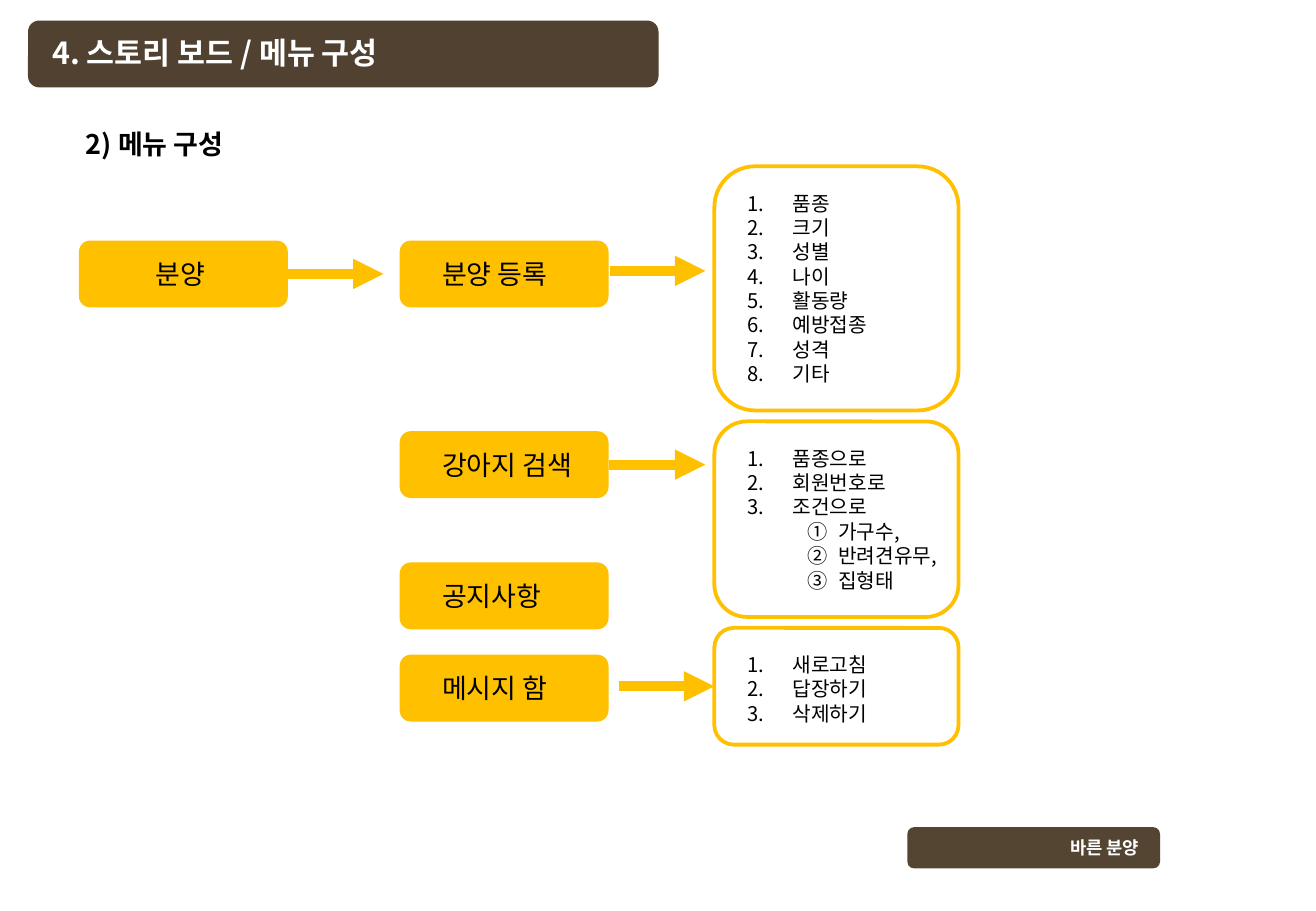
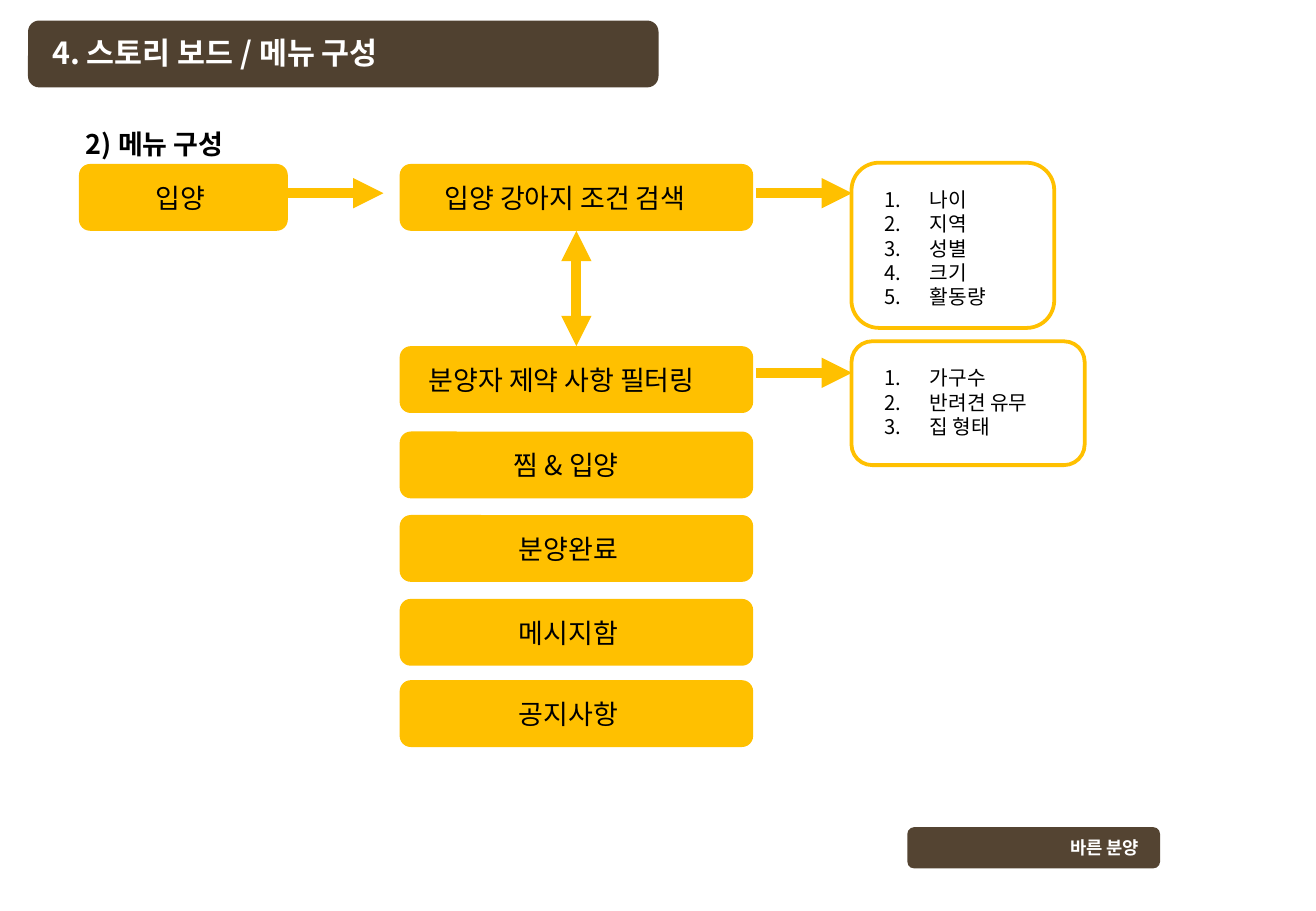
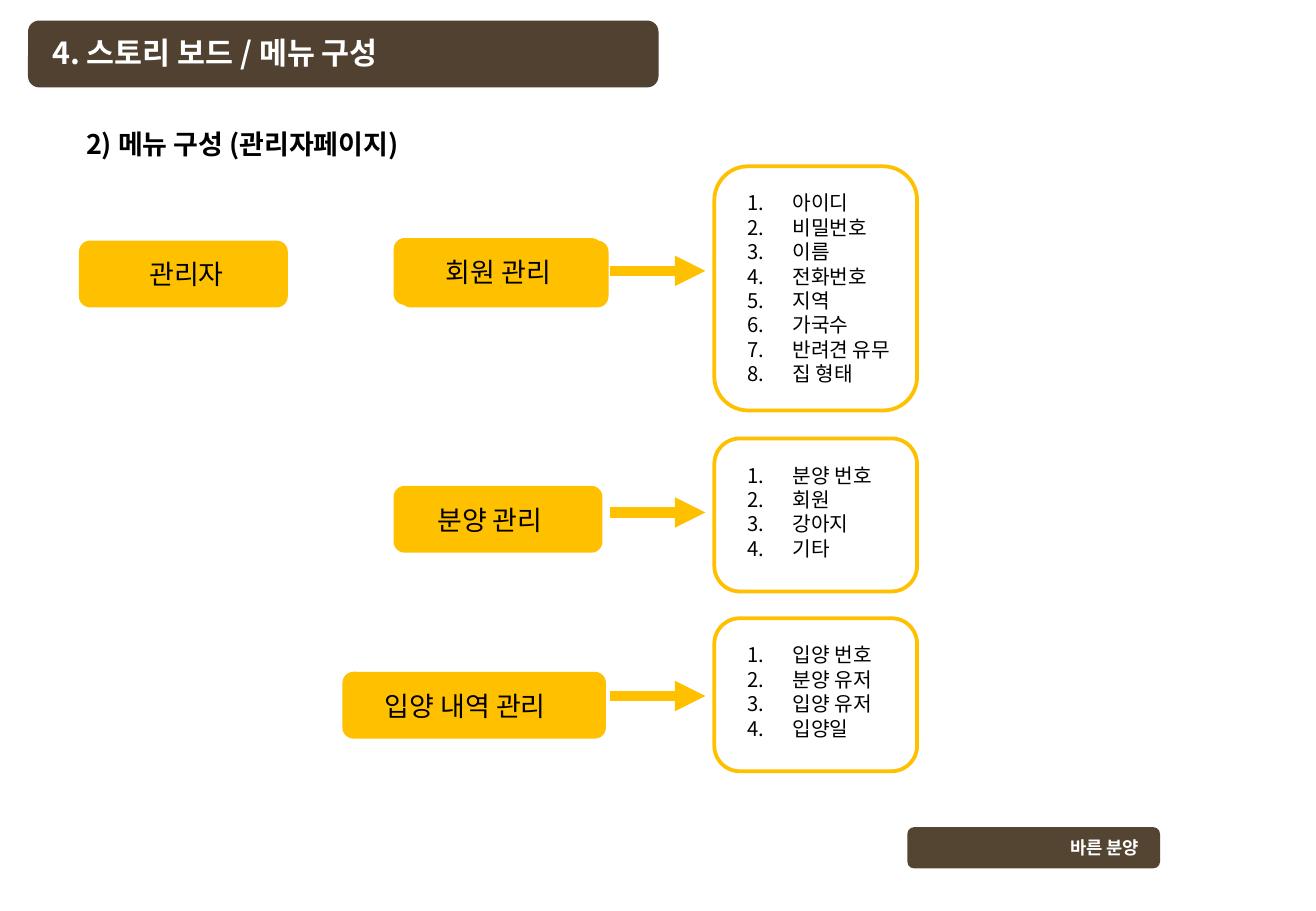
from dataclasses import dataclass, field
from typing import Any, Optional

import pptx
import pptx.dml.color
import pptx.enum.shapes
import pptx.enum.text
import pptx.oxml.ns
import pptx.util
from lxml import etree

Pt = pptx.util.Pt
FONT = "Noto Sans CJK KR"
COLORS = {
    "band": "504130",
    "footer": "544432",
    "accent": "FFC000",
    "text": "000000",
    "light": "FFFFFF",
}
TITLE = "4. 스토리 보드 / 메뉴 구성"
FOOTER = "바른 분양"

BOX_HEIGHT = 39.6
BOX_WIDTH = 123.8
WIDE_BOX = 209.5
FIRST_COLUMN = 46.8
SECOND_COLUMN = 236.9
LIST_COLUMN = 423.4
ARROW_LENGTH = 56.7
ARROW_START = 361.4
LINE_SPACING = 1.205
CORNER = 0.16667
TOP, LEFT, BOTTOM, RIGHT = range(4)


@dataclass
class MenuBox:
    text: str
    left: float
    top: float
    indent: float = 25.2
    width: float = BOX_WIDTH


@dataclass
class ListBox:
    items: list[str]
    left: float
    top: float
    width: float
    height: float
    subitems: list[str] = field(default_factory=list)


@dataclass
class Arrow:
    """A thick arrow; begin and end name a box and one of its sides."""
    left: float
    top: float
    begin: Optional[tuple[str, int]] = None
    end: Optional[tuple[str, int]] = None
    double: bool = False


@dataclass
class MenuPage:
    heading: str
    heading_width: float
    boxes: list[MenuBox]
    lists: list[ListBox]
    arrows: list[Arrow]


PAGES = [
    MenuPage(
        "2) 메뉴 구성", 105.8,
        [
            MenuBox("분양", FIRST_COLUMN, 142.6, 45.4),
            MenuBox("분양 등록", SECOND_COLUMN, 142.6),
            MenuBox("강아지 검색", SECOND_COLUMN, 255.6),
            MenuBox("공지사항", SECOND_COLUMN, 333.4),
            MenuBox("메시지 함", SECOND_COLUMN, 388.1),
        ],
        [
            ListBox(["품종", "크기", "성별", "나이", "활동량", "예방접종", "성격", "기타"],
                    LIST_COLUMN, 98.6, 144.7, 144.7),
            ListBox(["품종으로", "회원번호로", "조건으로"], LIST_COLUMN, 249.8, 144.7, 115.9,
                    ["가구수,", "반려견유무,", "집형태"]),
            ListBox(["새로고침", "답장하기", "삭제하기"], LIST_COLUMN, 372.2, 144.7, 69.2),
        ],
        [
            Arrow(170.6, 162.4, begin=("분양", RIGHT)),
            Arrow(ARROW_START, 160.6),
            Arrow(ARROW_START, 275.4, begin=("강아지 검색", RIGHT)),
            Arrow(366.7, 406.8, end=("새로고침", LEFT)),
        ],
    ),
    MenuPage(
        "2) 메뉴 구성", 105.8,
        [
            MenuBox("입양", FIRST_COLUMN, 97.2, 45.4),
            MenuBox("입양 강아지 조건 검색", SECOND_COLUMN, 97.2, 26.6, WIDE_BOX),
            MenuBox("분양자 제약 사항 필터링", SECOND_COLUMN, 205.2, 17.3, WIDE_BOX),
            MenuBox("찜 & 입양", SECOND_COLUMN, 255.8, 67.7, WIDE_BOX),
            MenuBox("분양완료", SECOND_COLUMN, 305.3, 70.6, WIDE_BOX),
            MenuBox("메시지함", SECOND_COLUMN, 355, 70.6, WIDE_BOX),
            MenuBox("공지사항", SECOND_COLUMN, 403.2, 70.6, WIDE_BOX),
        ],
        [
            ListBox(["나이", "지역", "성별", "크기", "활동량"], 504.7, 96.5, 120.2, 97.9),
            ListBox(["가구수", "반려견 유무", "집 형태"], 504.7, 202.3, 138.2, 73.4),
        ],
        [
            Arrow(170.6, 114.5),
            Arrow(448.3, 114.5),
            Arrow(448.3, 221),
            Arrow(341.65, 136.8, ("입양 강아지 조건 검색", BOTTOM),
                  ("분양자 제약 사항 필터링", TOP), double=True),
        ],
    ),
    MenuPage(
        "2) 메뉴 구성 (관리자페이지)", 219.6,
        [
            MenuBox("관리자", FIRST_COLUMN, 142.6, 41.8),
            MenuBox("", SECOND_COLUMN, 142.6),
            MenuBox("회원 관리", 233.3, 141.1, 31),
            MenuBox("분양 관리", 233.3, 288, 25.9),
            MenuBox("입양 내역 관리", 203, 398.2, 25.2, 156.2),
        ],
        [
            ListBox(["아이디", "비밀번호", "이름", "전화번호", "지역", "가국수", "반려견 유무", "집 형태"],
                    LIST_COLUMN, 98.6, 120.2, 144.7),
            ListBox(["분양 번호", "회원", "강아지", "기타"], LIST_COLUMN, 259.9, 120.2, 90.7),
            ListBox(["입양 번호", "분양 유저", "입양 유저", "입양일"],
                    LIST_COLUMN, 366.5, 120.2, 90.7),
        ],
        [Arrow(ARROW_START, top) for top in (160.6, 303.8, 412.6)],
    ),
]


def rgb(name: str) -> pptx.dml.color.RGBColor:
    return pptx.dml.color.RGBColor.from_string(COLORS[name])


def add_child(parent: Any, tag: str, **attributes: str) -> Any:
    child = etree.SubElement(parent, pptx.oxml.ns.qn(tag))
    for key, value in attributes.items():
        child.set(key, value)
    return child


# Text
def write_text(para: Any, text: str, *, size: float, color: str = "text",
               bold: bool = False) -> None:
    para.alignment = pptx.enum.text.PP_ALIGN.LEFT
    para.line_spacing = Pt(round(size * LINE_SPACING, 2))
    span = para.add_run()
    span.text = text
    span.font.size = Pt(size)
    span.font.bold = bold
    span.font.color.rgb = rgb(color)
    span.font.name = FONT
    add_child(span._r.get_or_add_rPr(), "a:ea", typeface=FONT)


def number_paragraph(para: Any, scheme: str, level: int, margin: float, hanging: float) -> None:
    para.level = level
    properties = para._p.get_or_add_pPr()
    properties.set("marL", str(int(Pt(margin))))
    properties.set("indent", str(-int(Pt(hanging))))
    add_child(properties, "a:buFont", typeface=FONT)
    add_child(properties, "a:buAutoNum", type=scheme)


def set_frame(frame: Any, left: float = 7.2, top: float = 3.6, right: float = 0,
              bottom: float = 3.6, middle: bool = True) -> None:
    anchors = pptx.enum.text.MSO_ANCHOR
    frame.word_wrap = True
    frame.auto_size = pptx.enum.text.MSO_AUTO_SIZE.NONE
    frame.vertical_anchor = anchors.MIDDLE if middle else anchors.TOP
    frame.margin_left, frame.margin_top = Pt(round(left, 2)), Pt(round(top, 2))
    frame.margin_right, frame.margin_bottom = Pt(right), Pt(bottom)


# Shapes
def add_round_box(page: Any, left: float, top: float, width: float, height: float, *,
                  fill: Optional[str] = None, line: Optional[str] = None) -> Any:
    box = page.shapes.add_shape(pptx.enum.shapes.MSO_SHAPE.ROUNDED_RECTANGLE,
                                Pt(left), Pt(top), Pt(width), Pt(height))
    box.shadow.inherit = False
    if fill:
        box.fill.solid()
        box.fill.fore_color.rgb = rgb(fill)
    else:
        box.fill.background()
    if line:
        box.line.color.rgb = rgb(line)
        box.line.width = Pt(2.25)
    else:
        box.line.fill.background()
    return box


def corner_inset(width: float, height: float) -> float:
    """Distance by which rounded corners already push the text inwards."""
    return min(width, height) * CORNER * 0.29


def add_menu_box(page: Any, item: MenuBox) -> Any:
    box = add_round_box(page, item.left, item.top, item.width, BOX_HEIGHT, fill="accent")
    if item.text:
        set_frame(box.text_frame, item.indent - corner_inset(item.width, BOX_HEIGHT))
        write_text(box.text_frame.paragraphs[0], item.text, size=16)
    return box


def add_list_box(page: Any, item: ListBox) -> Any:
    box = add_round_box(page, item.left, item.top, item.width, item.height, line="accent")
    inset = corner_inset(item.width, item.height)
    frame = box.text_frame
    set_frame(frame, 19.4 - inset, 14.4 - inset, bottom=0, middle=False)
    entries = [(text, ("arabicPeriod", 0, 27, 27)) for text in item.items]
    entries += [(text, ("circleNumDbPlain", 1, 54, 18)) for text in item.subitems]
    for index, (text, numbering) in enumerate(entries):
        para = frame.add_paragraph() if index else frame.paragraphs[0]
        number_paragraph(para, *numbering)
        write_text(para, text, size=12)
    return box


def add_arrow(page: Any, arrow: Arrow, boxes: dict[str, Any]) -> None:
    connector = page.shapes.add_connector(
        pptx.enum.shapes.MSO_CONNECTOR.STRAIGHT, Pt(arrow.left), Pt(arrow.top),
        Pt(arrow.left + ARROW_LENGTH), Pt(arrow.top))
    if arrow.begin:
        connector.begin_connect(boxes[arrow.begin[0]], arrow.begin[1])
    if arrow.end:
        connector.end_connect(boxes[arrow.end[0]], arrow.end[1])
    connector.line.color.rgb = rgb("accent")
    connector.line.width = Pt(6)
    outline = connector.line._get_or_add_ln()
    if arrow.double:
        add_child(outline, "a:headEnd", type="triangle")
    add_child(outline, "a:tailEnd", type="triangle")
    add_child(connector._element.spPr, "a:effectLst")


# Shared parts
def move_bands_to_layout(page: Any) -> None:
    """Draw the title band and the footer, then hand them to the page's layout."""
    layout = page.slide_layout
    for holder in list(layout.placeholders):
        if holder.placeholder_format.type != pptx.enum.shapes.PP_PLACEHOLDER.TITLE:
            layout.shapes.element.remove(holder.element)
    band = add_round_box(page, 16.6, 12.2, 373.7, BOX_HEIGHT, fill="band")
    footer = add_round_box(page, 537.8, 490.3, 149.8, 24.5, fill="footer")
    set_frame(footer.text_frame, 96.5 - corner_inset(149.8, 24.5), 0, bottom=0)
    write_text(footer.text_frame.paragraphs[0], FOOTER, size=10.5, color="light", bold=True)
    for shape in (band, footer):
        layout.shapes.element.append(shape.element)


def add_headings(page: Any, heading: str, width: float) -> None:
    title = page.shapes.title
    title.left, title.top, title.width, title.height = Pt(23.8), Pt(16.6), Pt(233.3), Pt(28.8)
    set_frame(title.text_frame)
    write_text(title.text_frame.paragraphs[0], TITLE, size=18, color="light", bold=True)
    box = page.shapes.add_textbox(Pt(43.9), Pt(72), Pt(width), Pt(26.6))
    set_frame(box.text_frame)
    write_text(box.text_frame.paragraphs[0], heading, size=16, bold=True)


def main() -> None:
    deck = pptx.Presentation()
    deck.slide_width, deck.slide_height = Pt(780), Pt(540)
    layout = deck.slide_layouts[5]
    for number, content in enumerate(PAGES):
        page = deck.slides.add_slide(layout)
        if number == 0:
            move_bands_to_layout(page)
        add_headings(page, content.heading, content.heading_width)
        boxes = {item.text: add_menu_box(page, item) for item in content.boxes}
        boxes |= {item.items[0]: add_list_box(page, item) for item in content.lists}
        for arrow in content.arrows:
            add_arrow(page, arrow, boxes)
    deck.save("out.pptx")


if __name__ == "__main__":
    main()
